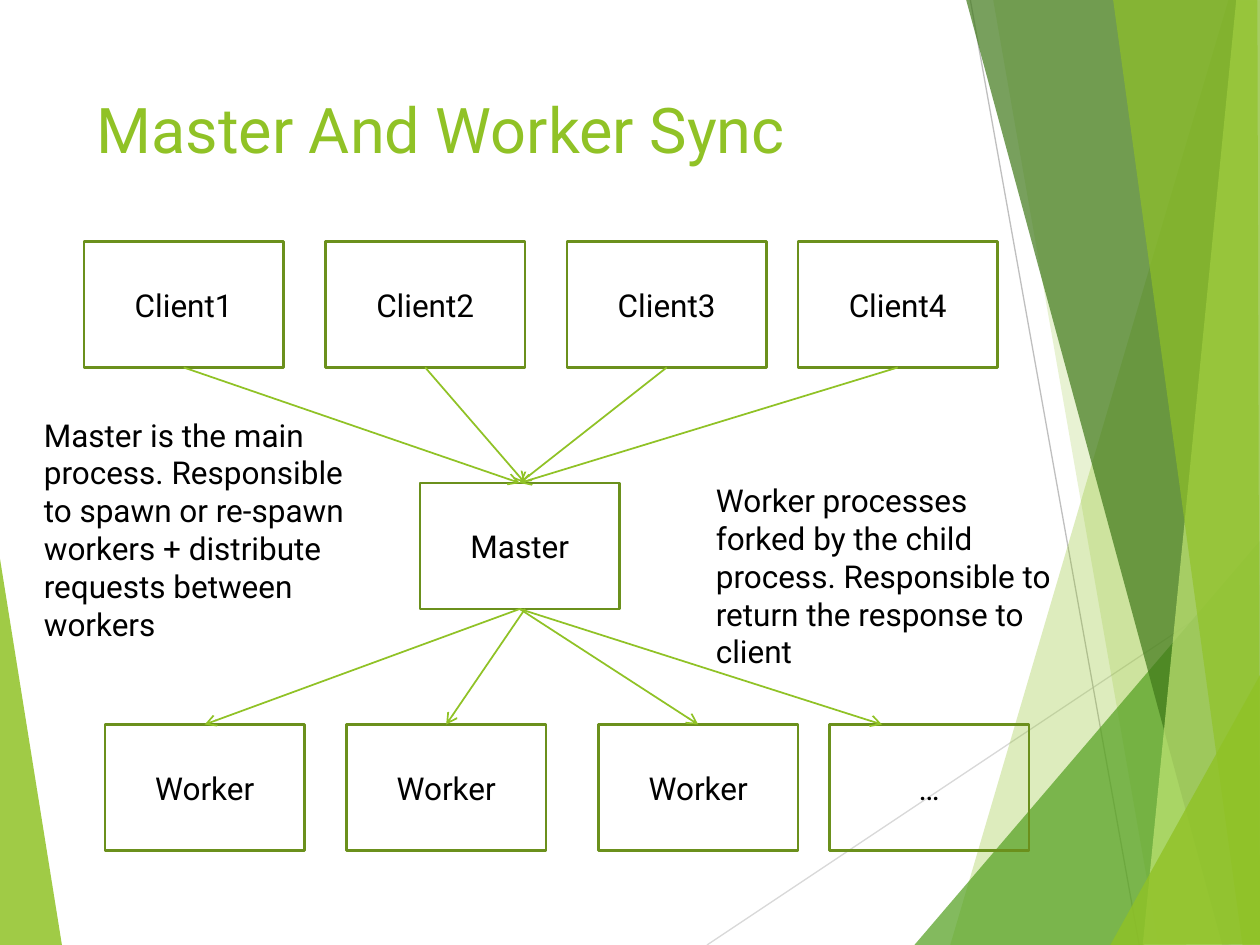
from dataclasses import dataclass

from lxml import etree
from pptx import Presentation
from pptx.dml.color import RGBColor
from pptx.enum import shapes, text
from pptx.oxml.ns import qn
from pptx.util import Pt


@dataclass(frozen=True)
class Theme:
    """Colours, font and sizes of the deck."""
    lime: str = "90C226"
    green: str = "54A021"
    forest: str = "3F7819"
    pale: str = "C0E474"
    border: str = "6B901C"
    ink: str = "000000"
    light_rule: str = "D9D9D9"
    dark_rule: str = "BFBFBF"
    font: str = "Roboto"
    title: int = 36
    body: int = 18


THEME = Theme()
BOX_W, BOX_H = 114, 72
CLIENT_Y, MASTER_Y, WORKER_Y = 138, 276, 414
MASTER_X = 240
HUB = MASTER_X + BOX_W / 2

# label, left edge, x of the arrow's end at the master
CLIENTS = [("Client1", 48, HUB), ("Client2", 186, HUB + 3),
           ("Client3", 324, HUB), ("Client4", 456, HUB)]
# label, left edge, x of the arrow's start at the master, x of its end
WORKERS = [("Worker", 60, HUB, 117), ("Worker", 198, HUB + 3, 255),
           ("Worker", 342, HUB, 399), ("…", 474, HUB, 504)]

WING = ([(-0.5, 316), (35.5, 540.5), (-0.5, 540)], THEME.lime, 85)
RULES = [((404, 540), (720.5, 329), THEME.light_rule),
         ((554.5, 0), (651, 540), THEME.dark_rule)]
# corner points, colour, opacity in percent
FACETS = [
    ([(702, 0), (543, 540), (721, 540.5), (720.5, 0.5)], THEME.lime, 30),
    ([(567.5, -0.5), (662, 540), (720.5, 540), (720.5, -0.5)], THEME.lime, 20),
    ([(522.5, 540), (720, 309), (720.5, 540)], THEME.green, 72),
    ([(552, -0.5), (698.5, 540), (720.5, 539.5), (720.5, -0.5)],
     THEME.forest, 70),
    ([(706.5, -0.5), (653, 540), (720.5, 540), (720, -0.5)], THEME.pale, 70),
    ([(636, -0.5), (710, 540), (720, 540), (718.5, -0.5)], THEME.lime, 65),
    ([(634.5, 540), (720.5, 385), (720.5, 539.5)], THEME.lime, 80),
]


def apply(obj, formats):
    """Set each format value on the object."""
    for name, value in formats.items():
        setattr(obj, name, value)


def rgb(value):
    """Turn a hex string into a colour."""
    return RGBColor.from_string(value)


def write(sp, words, size, color, align, anchor):
    """Put one styled paragraph into a shape."""
    tf = sp.text_frame
    apply(tf, {"word_wrap": True, "vertical_anchor": anchor})
    p = tf.paragraphs[0]
    p.alignment = align
    r = p.add_run()
    r.text = words
    apply(r.font, {"name": THEME.font, "size": Pt(size)})
    r.font.color.rgb = rgb(color)


def add_text(slide, words, frame, size, color):
    """Add a text box at left, top, width, height."""
    sp = slide.shapes.add_textbox(*map(Pt, frame))
    write(sp, words, size, color, text.PP_ALIGN.LEFT, text.MSO_ANCHOR.TOP)


def add_box(slide, label, left, top):
    """Add an outlined process box with a centred label."""
    sp = slide.shapes.add_shape(shapes.MSO_SHAPE.RECTANGLE,
                                *map(Pt, (left, top, BOX_W, BOX_H)))
    sp.shadow.inherit = False
    sp.fill.background()
    sp.line.color.rgb = rgb(THEME.border)
    sp.line.width = Pt(1.5)
    write(sp, label, THEME.body, THEME.ink,
          text.PP_ALIGN.CENTER, text.MSO_ANCHOR.MIDDLE)


def add_line(slide, start, end, color, width, arrow=False):
    """Add a straight line, with an open arrowhead at its end if asked."""
    line = slide.shapes.add_connector(shapes.MSO_CONNECTOR.STRAIGHT,
                                      *map(Pt, start + end))
    line.line.color.rgb = rgb(color)
    line.line.width = Pt(width)
    sp_pr = line._element.spPr
    if arrow:
        etree.SubElement(sp_pr.find(qn("a:ln")), qn("a:tailEnd"), type="arrow")
    etree.SubElement(sp_pr, qn("a:effectLst"))


def add_facet(slide, points, color, opacity):
    """Add a translucent polygon."""
    corners = [(Pt(x), Pt(y)) for x, y in points]
    builder = slide.shapes.build_freeform(*corners[0])
    builder.add_line_segments(corners[1:], close=True)
    sp = builder.convert_to_shape()
    sp.shadow.inherit = False
    sp.line.fill.background()
    sp.fill.solid()
    sp.fill.fore_color.rgb = rgb(color)
    tint = sp._element.spPr.find(qn("a:solidFill"))[0]
    etree.SubElement(tint, qn("a:alpha"), val=str(opacity * 1000))


def add_backdrop(slide):
    """Draw the wing, thin rules and facets behind the content."""
    add_facet(slide, *WING)
    for start, end, color in RULES:
        add_line(slide, start, end, color, 0.75)
    for facet in FACETS:
        add_facet(slide, *facet)


def add_diagram(slide):
    """Draw clients, master and workers with their arrows."""
    add_box(slide, "Master", MASTER_X, MASTER_Y)
    for label, left, end_x in CLIENTS:
        add_box(slide, label, left, CLIENT_Y)
        add_line(slide, (left + BOX_W / 2, CLIENT_Y + BOX_H),
                 (end_x, MASTER_Y), THEME.lime, 1, arrow=True)
    for label, left, start_x, end_x in WORKERS:
        add_box(slide, label, left, WORKER_Y)
        add_line(slide, (start_x, MASTER_Y + BOX_H),
                 (end_x, WORKER_Y), THEME.lime, 1, arrow=True)


def main():
    """Build and save the slide."""
    prs = Presentation()
    apply(prs, {"slide_width": Pt(720), "slide_height": Pt(540)})
    slide = prs.slides.add_slide(prs.slide_layouts[6])
    add_backdrop(slide)
    add_text(slide, "Master And Worker Sync", (48, 48, 500, 104),
             THEME.title, THEME.lime)
    add_diagram(slide)
    add_text(slide, "Master is the main process. Responsible to spawn or "
             "re-spawn workers + distribute requests between workers",
             (18, 234, 189, 138), THEME.body, THEME.ink)
    add_text(slide, "Worker processes forked by the child process. "
             "Responsible to return the response to client",
             (402, 271.5, 213, 94.5), THEME.body, THEME.ink)
    prs.save("out.pptx")


main()
